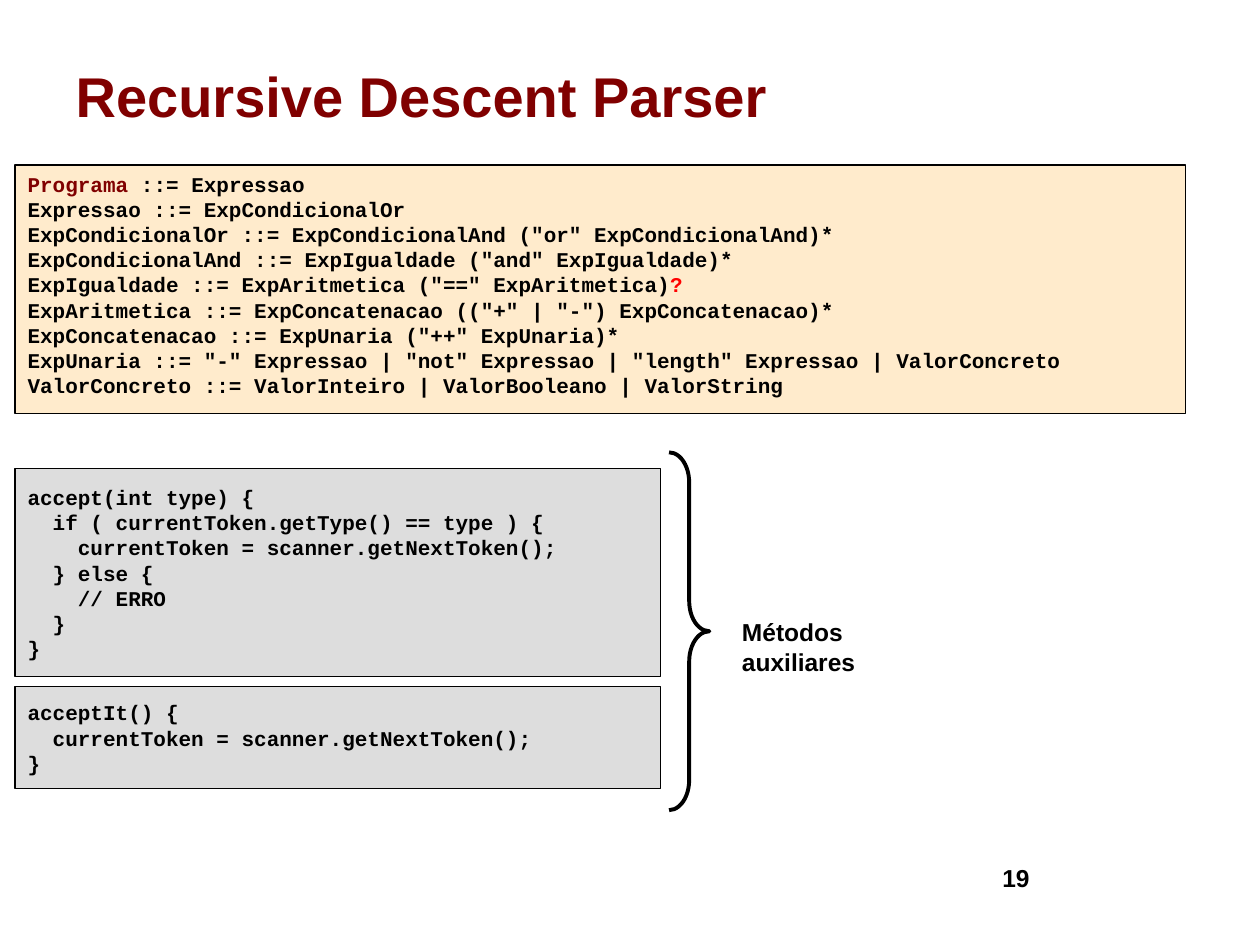
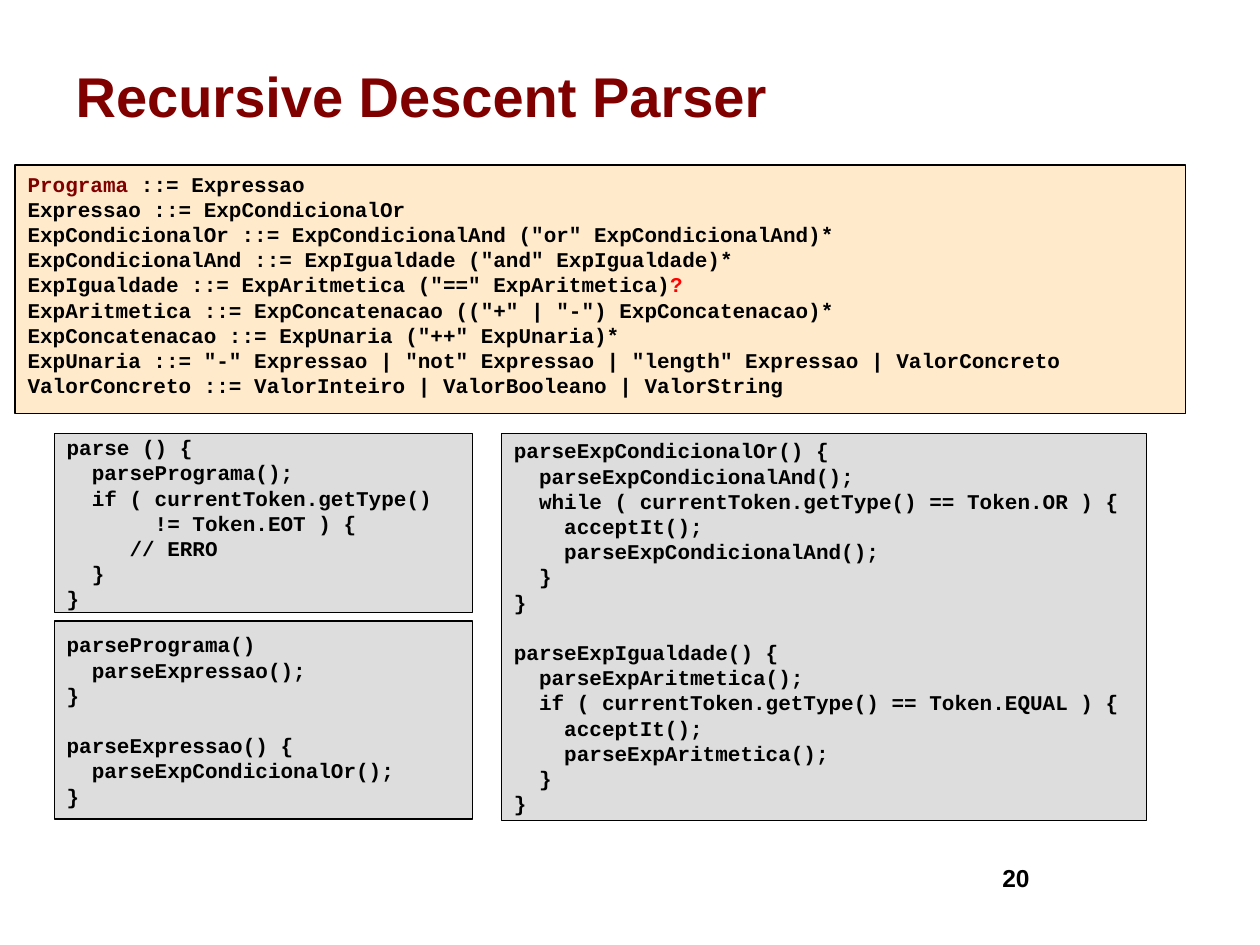
from pptx import Presentation
from pptx.dml.color import RGBColor
from pptx.enum.shapes import MSO_SHAPE as Shape
from pptx.enum.text import MSO_ANCHOR as Anchor, PP_ALIGN as Align
from pptx.util import Inches, Pt

MAROON = RGBColor(0x80, 0x00, 0x00)
RED = RGBColor(0xFF, 0x00, 0x00)
BLACK = RGBColor(0x00, 0x00, 0x00)
CREAM = RGBColor(0xFF, 0xEB, 0xCC)
GREY = RGBColor(0xDD, 0xDD, 0xDD)
LINE_HEIGHT = Pt(14.4)

GRAMMAR = """Programa ::= Expressao
Expressao ::= ExpCondicionalOr
ExpCondicionalOr ::= ExpCondicionalAnd ("or" ExpCondicionalAnd)*
ExpCondicionalAnd ::= ExpIgualdade ("and" ExpIgualdade)*
ExpIgualdade ::= ExpAritmetica ("==" ExpAritmetica)
ExpAritmetica ::= ExpConcatenacao (("+" | "-") ExpConcatenacao)*
ExpConcatenacao ::= ExpUnaria ("++" ExpUnaria)*
ExpUnaria ::= "-" Expressao | "not" Expressao | "length" Expressao | ValorConcreto
ValorConcreto ::= ValorInteiro | ValorBooleano | ValorString"""

ACCEPT = """accept(int type) {
  if ( currentToken.getType() == type ) {
    currentToken = scanner.getNextToken();
  } else {
    // ERRO
  }
}"""

ACCEPT_IT = """acceptIt() {
  currentToken = scanner.getNextToken();
}"""

PARSE = """parse () {
  parsePrograma();
  if ( currentToken.getType()
       != Token.EOT ) {
     // ERRO
  }
}"""

PARSE_PROGRAMA = """parsePrograma()
  parseExpressao();
}"""

PARSE_EXPRESSAO = """parseExpressao() {
  parseExpCondicionalOr();
}"""

PARSE_OR = """parseExpCondicionalOr() {
  parseExpCondicionalAnd();
  while ( currentToken.getType() == Token.OR ) {
    acceptIt();
    parseExpCondicionalAnd();
  }
}"""

PARSE_IGUALDADE = """parseExpIgualdade() {
  parseExpAritmetica();
  if ( currentToken.getType() == Token.EQUAL ) {
    acceptIt();
    parseExpAritmetica();
  }
}"""

# Each slide: page number and code boxes (left, top, width, height, functions)
SLIDES = [
    (19, [
        (0.12, 3.72, 5.12, 1.65, [ACCEPT]),
        (0.12, 5.45, 5.12, 0.81, [ACCEPT_IT]),
    ]),
    (20, [
        (0.43, 3.44, 3.32, 1.42, [PARSE]),
        (0.43, 4.93, 3.32, 1.57, [PARSE_PROGRAMA, PARSE_EXPRESSAO]),
        (3.98, 3.44, 5.12, 3.07, [PARSE_OR, PARSE_IGUALDADE]),
    ]),
]


def write_text(shape, text, size, font="Arial", color=BLACK, align=Align.LEFT,
               anchor=Anchor.TOP):
    frame = shape.text_frame
    frame.text = text
    frame.word_wrap = True
    frame.vertical_anchor = anchor
    for paragraph in frame.paragraphs:
        paragraph.alignment = align
        for run in paragraph.runs:
            run.font.name = font
            run.font.size = Pt(size)
            run.font.bold = True
            run.font.color.rgb = color
    return frame.paragraphs


def add_code_box(slide, position, functions, fill, anchor=Anchor.MIDDLE):
    """Add a framed listing with one empty line's space between functions."""
    box = slide.shapes.add_shape(Shape.RECTANGLE, *map(Inches, position))
    box.shadow.inherit = False
    box.fill.solid()
    box.fill.fore_color.rgb = fill
    box.line.color.rgb = BLACK
    box.line.width = Pt(0.75)
    paragraphs = write_text(box, "\n".join(functions), 12, "Courier New", anchor=anchor)
    first_line = 0
    for function in functions[:-1]:
        first_line += len(function.splitlines())
        paragraphs[first_line].space_before = LINE_HEIGHT
    for paragraph in paragraphs:
        paragraph.line_spacing = LINE_HEIGHT
    return paragraphs


presentation = Presentation()
presentation.slide_width = Inches(10)
presentation.slide_height = Inches(7.5)

for page, code_boxes in SLIDES:
    slide = presentation.slides.add_slide(presentation.slide_layouts[5])
    title = slide.shapes.title
    title.left, title.top, title.width, title.height = map(Inches, (0.5, 0.13, 9, 1.25))
    write_text(title, "Recursive Descent Parser", 32, color=MAROON, anchor=Anchor.MIDDLE)

    rules = add_code_box(slide, (0.12, 1.31, 9.29, 1.97), [GRAMMAR], CREAM, Anchor.TOP)
    start_symbol = rules[0].runs[0]
    start_symbol.text = "Programa"
    start_symbol.font.color.rgb = MAROON
    for rule, text, color in ((rules[0], " ::= Expressao", BLACK), (rules[4], "?", RED)):
        run = rule.add_run()
        run.text = text
        run.font.name = "Courier New"
        run.font.size = Pt(12)
        run.font.bold = True
        run.font.color.rgb = color

    for *position, functions in code_boxes:
        add_code_box(slide, position, functions, GREY)

    number = slide.shapes.add_textbox(*map(Inches, (5.94, 6.8, 2.33, 0.52)))
    write_text(number, str(page), 14, align=Align.RIGHT)

helpers_slide = presentation.slides[0]
brace = helpers_slide.shapes.add_shape(
    Shape.RIGHT_BRACE, *map(Inches, (5.31, 3.59, 0.32, 2.84)))
brace.shadow.inherit = False
brace.adjustments[0] = 0.75
brace.fill.background()
brace.line.color.rgb = BLACK
brace.line.width = Pt(2.25)

label = helpers_slide.shapes.add_textbox(*map(Inches, (5.79, 4.85, 1.95, 0.34)))
write_text(label, "Métodos auxiliares", 14)

presentation.save("out.pptx")
